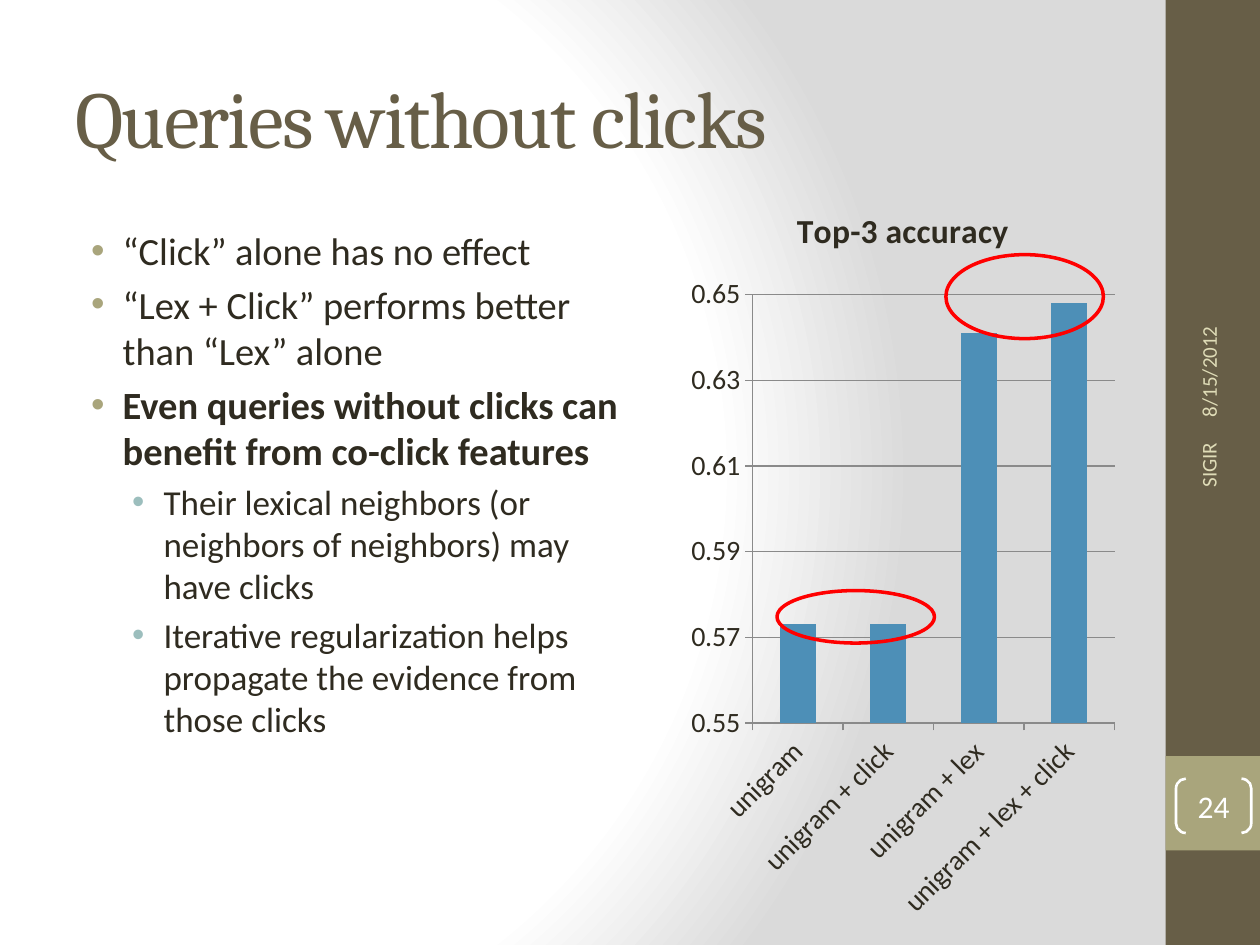
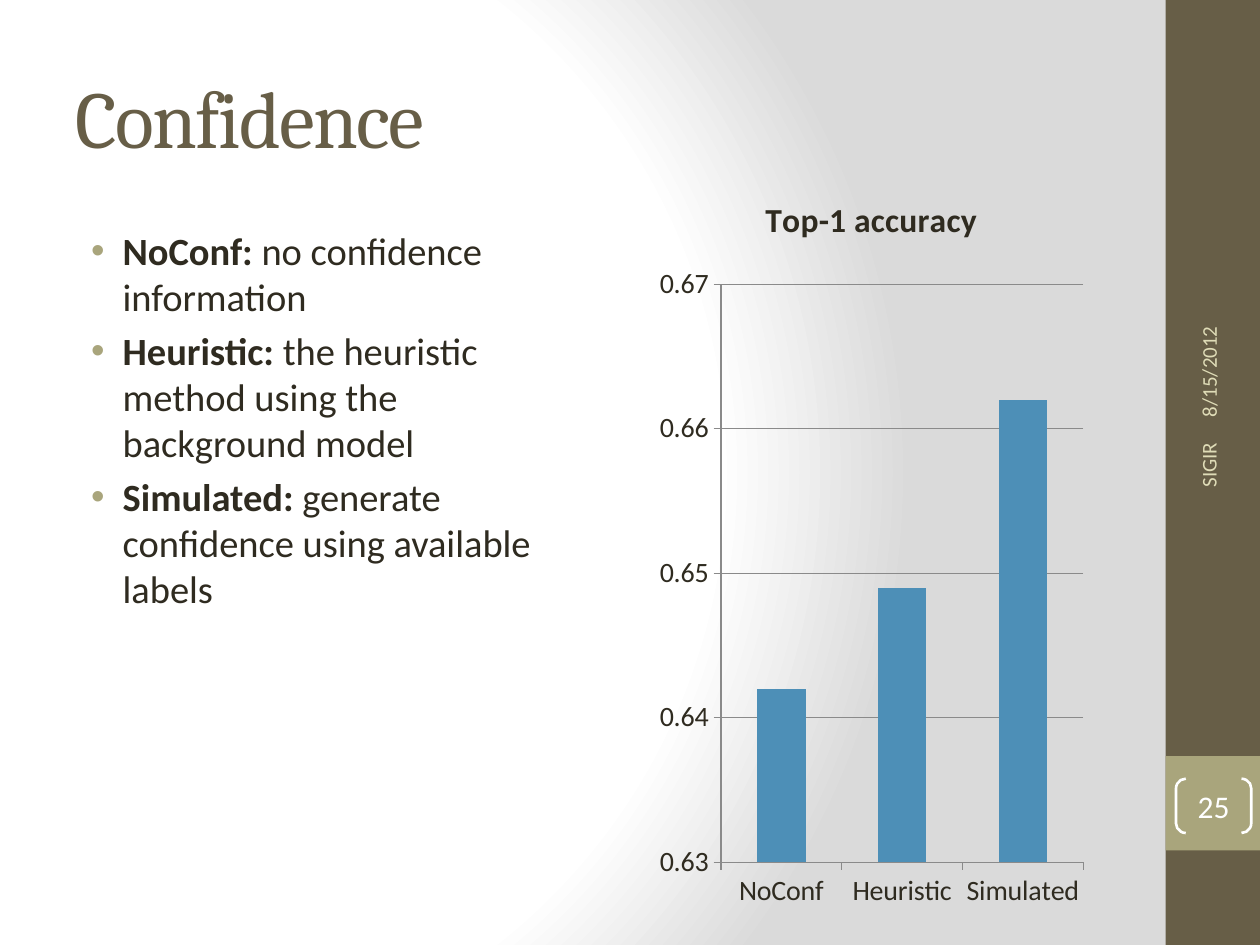
from pptx import Presentation
from pptx.chart import data as cd
from pptx.dml import color as dml
from pptx.enum import chart as ch, shapes as sh, text as tx
from pptx.oxml import ns, parse_xml
from pptx.util import Pt

rgb = dml.RGBColor.from_string
INK, BROWN, SAND, PALE, TEAL = "2F2B20", "675E47", "A9A57C", "DFDCB7", "9CBEBD"
WHITE, RED, BLUE, GREY = "FFFFFF", "FF0000", "4D8FB7", "8A8A8A"
HEAD = dict(name="Cambria", size=Pt(46), color=BROWN)
SIDE = dict(name="Calibri", size=Pt(12), color=PALE)
PAGE = dict(name="Calibri", size=Pt(18), color=WHITE)
AXIS = dict(name="Calibri", size=Pt(16), color=INK, bold=False)
CAPTION = dict(AXIS, size=Pt(19.2), bold=True)
# Text size, left margin and bullet colour of each list level
LEVELS = [(22, 27, SAND), (20, 50.4, TEAL)]

BACK = f"""<p:bg {ns.nsdecls('p', 'a')}><p:bgPr><a:gradFill rotWithShape="1"><a:gsLst>
<a:gs pos="0"><a:srgbClr val="FFFFFF"/></a:gs><a:gs pos="75000"><a:srgbClr val="FFFFFF"/></a:gs>
<a:gs pos="100000"><a:srgbClr val="DADADA"/></a:gs></a:gsLst><a:path path="circle">
<a:fillToRect l="20000" t="50000" r="100000" b="50000"/></a:path></a:gradFill>
<a:effectLst/></p:bgPr></p:bg>"""
CLEAR = f"<c:spPr {ns.nsdecls('c', 'a')}><a:noFill/><a:ln><a:noFill/></a:ln></c:spPr>"

PAGES = [
    dict(title="Queries without clicks", num=24, width=336,
         list=[(0, [("“Click” alone has no effect", False)]),
               (0, [("“Lex + Click” performs better than “Lex” alone", False)]),
               (0, [("Even queries without clicks can benefit from co-click features", True)]),
               (1, [("Their lexical neighbors (or neighbors of neighbors) may have clicks", False)]),
               (1, [("Iterative regularization helps propagate the evidence from those clicks",
                     False)])],
         chart="Top-3 accuracy", at=(390, 102), scale=(0.55, 0.65, 0.02), turn=-45,
         vals={"unigram": 0.573, "unigram + click": 0.573,
               "unigram + lex": 0.641, "unigram + lex + click": 0.648},
         rings=[(444, 337.5, 90, 30), (540.5, 145.5, 90, 48)]),
    dict(title="Confidence", num=25, width=306,
         list=[(0, [("NoConf: ", True), ("no confidence information", False)]),
               (0, [("Heuristic: ", True),
                    ("the heuristic method using the background model", False)]),
               (0, [("Simulated: ", True),
                    ("generate confidence using available labels", False)])],
         chart="Top-1 accuracy", at=(372, 96), scale=(0.63, 0.67, 0.01), turn=0,
         vals={"NoConf": 0.642, "Heuristic": 0.649, "Simulated": 0.662}, rings=[]),
]


def style(font, fmt):
    for key, val in fmt.items():
        if key == "color":
            font.color.rgb = rgb(val)
        else:
            setattr(font, key, val)


def write(para, words, fmt):
    """Add a formatted run to a paragraph and return it."""
    run = para.add_run()
    run.text = words
    style(run.font, fmt)
    return run


prs = Presentation()
prs.slide_width, prs.slide_height = Pt(720), Pt(540)

for page in PAGES:
    slide = prs.slides.add_slide(prs.slide_layouts[6])
    slide.element.cSld.insert(0, parse_xml(BACK))
    art = slide.shapes

    # Side band and its page number square
    for top, high, fill in [(0, 540, BROWN), (432, 54, SAND)]:
        band = art.add_shape(sh.MSO_SHAPE.RECTANGLE, Pt(666), Pt(top), Pt(54), Pt(high))
        band.shadow.inherit = False
        band.fill.solid()
        band.fill.fore_color.rgb = rgb(fill)
        band.line.fill.background()

    # Title
    frame = art.add_textbox(Pt(36), Pt(21.6), Pt(600), Pt(90)).text_frame
    frame.word_wrap = True
    frame.vertical_anchor = tx.MSO_ANCHOR.MIDDLE
    run = write(frame.paragraphs[0], page["title"], HEAD)
    run.font._element.set("spc", "-100")

    # Bullet list
    frame = art.add_textbox(Pt(36), Pt(126), Pt(page["width"]), Pt(378)).text_frame
    frame.word_wrap = True
    for i, (level, parts) in enumerate(page["list"]):
        para = frame.add_paragraph() if i else frame.paragraphs[0]
        size, left, tint = LEVELS[level]
        para.level = level
        para.space_before = Pt(size * 0.2)
        prop = para._p.get_or_add_pPr()
        prop.set("marL", str(Pt(left)))
        prop.set("indent", str(Pt(-18)))
        for xml in (f'<a:buClr {ns.nsdecls("a")}><a:srgbClr val="{tint}"/></a:buClr>',
                    f'<a:buFont {ns.nsdecls("a")} typeface="Arial"/>',
                    f'<a:buChar {ns.nsdecls("a")} char="•"/>'):
            prop.append(parse_xml(xml))
        for words, bold in parts:
            write(para, words, dict(AXIS, size=Pt(size), bold=bold))

    # Date and footer, turned to run up the band
    for words, left, top, wide, align in [
            ("8/15/2012", 651.6, 192, 78, tx.PP_ALIGN.LEFT),
            ("SIGIR", 660.5, 261.5, 60, tx.PP_ALIGN.RIGHT)]:
        box = art.add_textbox(Pt(left), Pt(top), Pt(wide), Pt(28.8))
        box.rotation = 270
        box.text_frame.word_wrap = True
        box.text_frame.vertical_anchor = tx.MSO_ANCHOR.MIDDLE
        box.text_frame.paragraphs[0].alignment = align
        write(box.text_frame.paragraphs[0], words, SIDE)

    # Page number
    mark = art.add_shape(sh.MSO_SHAPE.DOUBLE_BRACKET, Pt(672), Pt(445), Pt(43), Pt(31))
    mark.adjustments[0] = 0.18
    mark.shadow.inherit = False
    mark.fill.background()
    mark.line.color.rgb = rgb(WHITE)
    mark.line.width = Pt(1.5)
    frame = mark.text_frame
    for side in ("left", "top", "right", "bottom"):
        setattr(frame, f"margin_{side}", 0)
    frame.vertical_anchor = tx.MSO_ANCHOR.MIDDLE
    frame.paragraphs[0].alignment = tx.PP_ALIGN.CENTER
    write(frame.paragraphs[0], str(page["num"]), PAGE)

    # Column chart
    data = cd.CategoryChartData()
    data.categories = list(page["vals"])
    data.add_series(page["chart"], list(page["vals"].values()))
    left, top = page["at"]
    chart = art.add_chart(ch.XL_CHART_TYPE.COLUMN_CLUSTERED, Pt(left), Pt(top),
                          Pt(252), Pt(432), data).chart
    chart.element.find(ns.qn("c:chart")).addnext(parse_xml(CLEAR))
    style(chart.font, AXIS)
    chart.has_legend = False
    chart.has_title = True
    write(chart.chart_title.text_frame.paragraphs[0], page["chart"], CAPTION)
    chart.chart_title.include_in_layout = False
    plot = chart.plots[0]
    plot.gap_width = 150
    plot.vary_by_categories = False
    bars = plot.series[0]
    bars.invert_if_negative = False
    bars.format.fill.solid()
    bars.format.fill.fore_color.rgb = rgb(BLUE)
    cat, val = chart.category_axis, chart.value_axis
    val.minimum_scale, val.maximum_scale, val.major_unit = page["scale"]
    val.has_major_gridlines = True
    val.tick_labels.number_format = "#,##0.00"
    val.tick_labels.number_format_is_linked = False
    for axis in (cat, val):
        axis.major_tick_mark = ch.XL_TICK_MARK.OUTSIDE
        axis.minor_tick_mark = ch.XL_TICK_MARK.NONE
        style(axis.tick_labels.font, AXIS)
    for part in (cat, val, val.major_gridlines):
        part.format.line.color.rgb = rgb(GREY)
        part.format.line.width = Pt(0.75)
    if page["turn"]:
        body = cat._element.find(ns.qn("c:txPr")).find(ns.qn("a:bodyPr"))
        body.set("rot", str(page["turn"] * 60000))

    # Rings around the bars to compare
    for spot in page["rings"]:
        ring = art.add_shape(sh.MSO_SHAPE.OVAL, *map(Pt, spot))
        ring.shadow.inherit = False
        ring.fill.background()
        ring.line.color.rgb = rgb(RED)
        ring.line.width = Pt(2)

prs.save("out.pptx")
